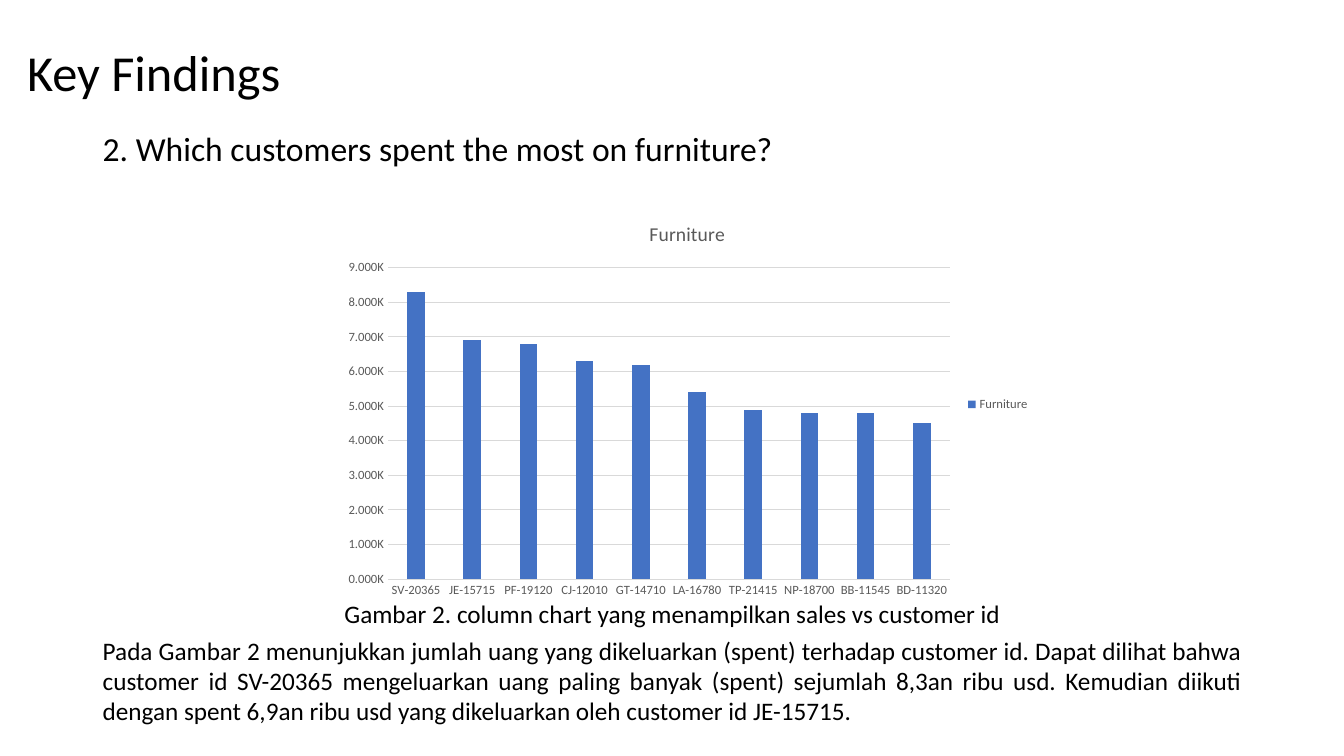
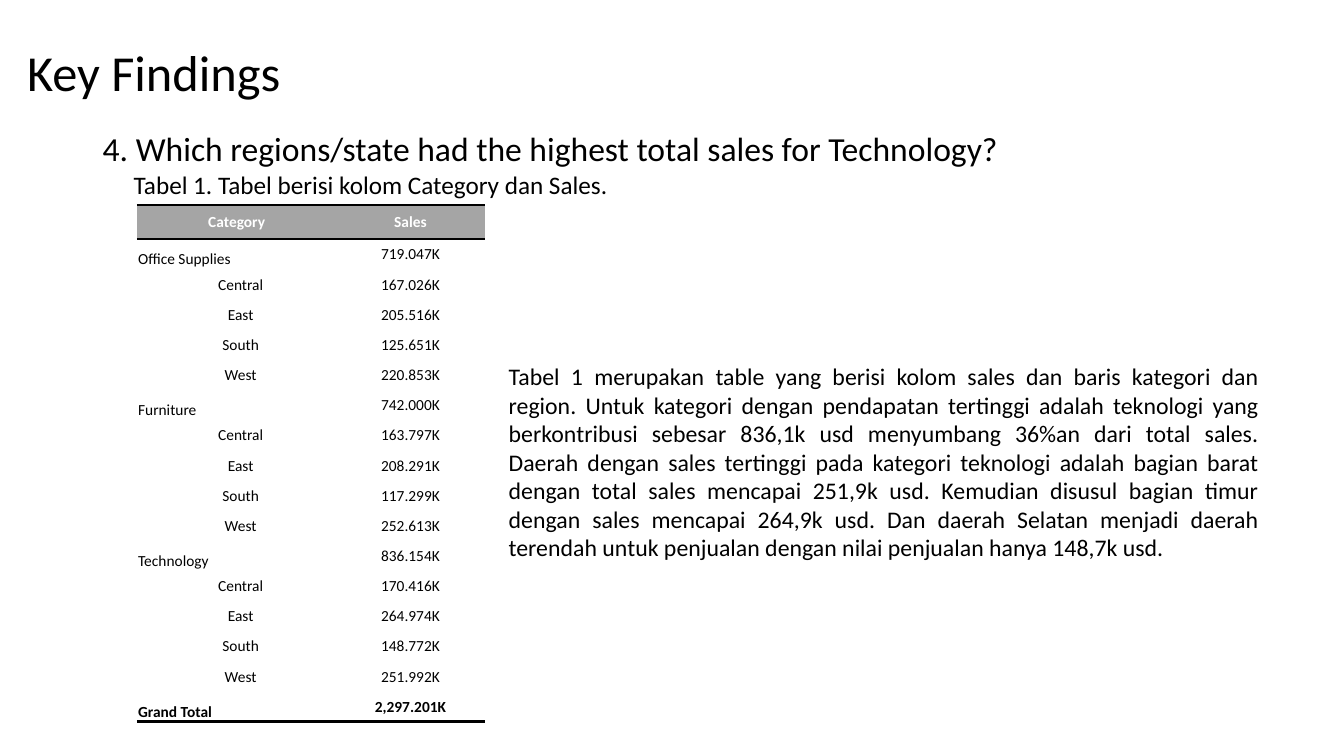
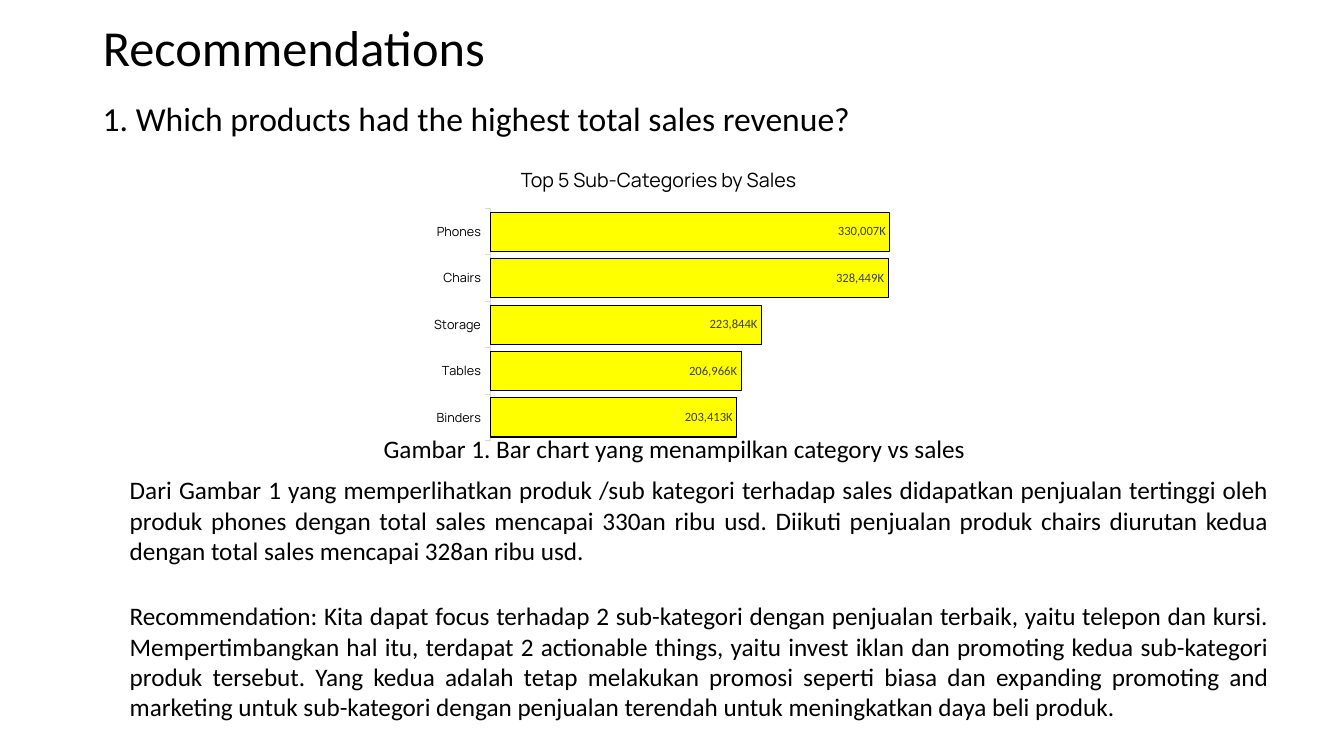
import pptx
import pptx.chart.data
import pptx.dml.color
import pptx.enum.chart
import pptx.enum.shapes
import pptx.enum.text
import pptx.oxml
import pptx.oxml.ns
import pptx.util
from pptx.util import Cm

# Shared styles
COLORS = {"black": "000000", "white": "FFFFFF", "header": "A5A5A5", "axis": "595959",
          "grid": "D9D9D9", "blue": "4472C4", "yellow": "FFFF00", "label": "404040"}
ALIGN = pptx.enum.text.PP_ALIGN
ANCHOR = pptx.enum.text.MSO_ANCHOR
TYPE = pptx.enum.chart.XL_CHART_TYPE
TICK = pptx.enum.chart.XL_TICK_MARK
PLAIN_TABLE = "{2D5ABB26-0587-4C30-8999-92F81FD0307C}"
TITLE = {"size": 36}
QUESTION = {"size": 24}
BODY = {"size": 18, "align": ALIGN.JUSTIFY}
CAPTION = {"size": 18, "align": ALIGN.CENTER}
TITLE_SIZE = (29.21, 2.41)
QUESTION_SIZE = (30.58, 1.27)

# Slide 2 table: first column, second column
REGIONS = ["Central", "East", "South", "West"]
SALES = {
    "Office Supplies": ["719.047K", "167.026K", "205.516K", "125.651K", "220.853K"],
    "Furniture": ["742.000K", "163.797K", "208.291K", "117.299K", "252.613K"],
    "Technology": ["836.154K", "170.416K", "264.974K", "148.772K", "251.992K"],
}


def rgb(name):
    return pptx.dml.color.RGBColor.from_string(COLORS[name])


def format_font(font, size, color="black", name="Calibri", bold=False):
    values = {"size": pptx.util.Pt(size), "name": name, "bold": bold}
    for key, value in values.items():
        setattr(font, key, value)
    font.color.rgb = rgb(color)


def write(tf, text, align=ALIGN.LEFT, spacing=None, **font):
    p = tf.paragraphs[0]
    p.alignment = align
    p.line_spacing = spacing
    r = p.add_run()
    r.text = text
    format_font(r.font, **font)


def set_line(line, color):
    line.color.rgb = rgb(color)
    line.width = pptx.util.Pt(0.75)


def add_slide(prs, title, left, top):
    s = prs.slides.add_slide(prs.slide_layouts[5])
    sp = s.shapes.title
    box = (left, top) + TITLE_SIZE
    for key, value in zip(("left", "top", "width", "height"), box):
        setattr(sp, key, Cm(value))
    sp.text_frame.vertical_anchor = ANCHOR.MIDDLE
    write(sp.text_frame, title, spacing=0.9, **TITLE)
    return s


def add_text(s, box, text, style):
    tf = s.shapes.add_textbox(*map(Cm, box)).text_frame
    tf.word_wrap = True
    tf.auto_size = pptx.enum.text.MSO_AUTO_SIZE.SHAPE_TO_FIT_TEXT
    write(tf, text, **style)


def add_question(s, top, text):
    add_text(s, (2.34, top) + QUESTION_SIZE, text, QUESTION)


# Charts
def add_chart(s, box, kind, name, cats, vals, gap, color):
    data = pptx.chart.data.CategoryChartData()
    data.categories = cats
    data.add_series(name, vals)
    chart = s.shapes.add_chart(kind, *map(Cm, box), data).chart
    format_font(chart.font, 10)
    chart.has_title = False
    chart.has_legend = False
    plot = chart.plots[0]
    plot.gap_width = gap
    plot.vary_by_categories = False
    fill = plot.series[0].format.fill
    fill.solid()
    fill.fore_color.rgb = rgb(color)
    set_line(chart.category_axis.format.line, "grid")
    chart.value_axis.minimum_scale = 0
    return chart


def add_column_chart(s, box, name, cats, vals):
    chart = add_chart(s, box, TYPE.COLUMN_CLUSTERED, name, cats, vals, 219, "blue")
    chart.plots[0].overlap = -27
    chart.has_title = True
    write(chart.chart_title.text_frame, name, ALIGN.CENTER, size=14, color="axis")
    chart.has_legend = True
    chart.legend.position = pptx.enum.chart.XL_LEGEND_POSITION.RIGHT
    chart.legend.include_in_layout = False
    format_font(chart.legend.font, 9, "axis")
    for axis in (chart.category_axis, chart.value_axis):
        axis.major_tick_mark = TICK.NONE
        format_font(axis.tick_labels.font, 9, "axis")
    axis = chart.value_axis
    axis.maximum_scale = 9000
    axis.major_unit = 1000
    axis.format.line.fill.background()
    set_line(axis.major_gridlines.format.line, "grid")
    axis.tick_labels.number_format = '#,##0.000,"K"'
    axis.tick_labels.number_format_is_linked = False


def add_bar_chart(s, box, name, cats, vals):
    chart = add_chart(s, box, TYPE.BAR_CLUSTERED, name, cats, vals, 19, "yellow")
    format_font(chart.category_axis.tick_labels.font, 9, name="Manrope")
    chart.category_axis.major_tick_mark = TICK.OUTSIDE
    chart.value_axis.visible = False
    chart.value_axis.has_major_gridlines = False
    chart.value_axis.maximum_scale = 350000
    series = chart.plots[0].series[0]
    set_line(series.format.line, "black")
    labels = series.data_labels
    labels.show_value = True
    labels.position = pptx.enum.chart.XL_LABEL_POSITION.INSIDE_END
    labels.number_format = '#0,000"K"'
    labels.number_format_is_linked = False
    format_font(labels.font, 9, "label")


def add_chart_heading(s, box, text):
    kind = pptx.enum.shapes.MSO_SHAPE.ROUNDED_RECTANGLE
    sp = s.shapes.add_shape(kind, *map(Cm, box))
    sp.shadow.inherit = False
    sp.fill.solid()
    sp.fill.fore_color.rgb = rgb("white")
    sp.line.fill.background()
    sp.text_frame.vertical_anchor = ANCHOR.MIDDLE
    write(sp.text_frame, text, ALIGN.CENTER, size=14, name="Manrope")


# Table
def add_border(cell, side):
    ns = pptx.oxml.ns.nsdecls("a")
    line = pptx.oxml.parse_xml(
        f'<a:ln{side} {ns} w="25400"><a:solidFill><a:srgbClr val="{COLORS["black"]}"/>'
        f'</a:solidFill></a:ln{side}>')
    pr = cell._tc.get_or_add_tcPr()
    pr.insert(len(pr.findall(pptx.oxml.ns.qn("a:lnT"))), line)


def fill_cell(cell, text, fill="white", indent=0.03, anchor=ANCHOR.MIDDLE,
              align=ALIGN.CENTER, borders="", **font):
    values = {"margin_left": Cm(indent), "margin_top": Cm(0.03),
              "margin_right": Cm(0.03), "margin_bottom": 0, "vertical_anchor": anchor}
    for key, value in values.items():
        setattr(cell, key, value)
    cell.fill.solid()
    cell.fill.fore_color.rgb = rgb(fill)
    write(cell.text_frame, text, align, size=11, **font)
    for side in borders:
        add_border(cell, side)


def add_sales_table(s, left, top):
    widths, header_height, row_height = (5.03, 3.73), 0.86, 0.76
    header = {"fill": "header", "color": "white", "bold": True, "borders": "TB"}
    group = {"anchor": ANCHOR.BOTTOM, "align": ALIGN.LEFT}
    total = {"bold": True, "borders": "B"}

    # Each row: label, amount, label style, amount style
    rows = [("Category", "Sales", header, header)]
    for category, amounts in SALES.items():
        rows.append((category, amounts[0], group, {}))
        rows += [(region, amount, {"indent": 0.23}, {})
                 for region, amount in zip(REGIONS, amounts[1:])]
    rows.append(("Grand Total", "2,297.201K", {**group, **total}, total))

    height = header_height + row_height * (len(rows) - 1)
    frame = s.shapes.add_table(len(rows), 2, Cm(left), Cm(top), Cm(sum(widths)), Cm(height))
    table = frame.table
    table.horz_banding = False
    table._tbl.tblPr.find(pptx.oxml.ns.qn("a:tableStyleId")).text = PLAIN_TABLE
    for column, width in zip(table.columns, widths):
        column.width = Cm(width)
    for i, (label, amount, label_style, amount_style) in enumerate(rows):
        table.rows[i].height = Cm(row_height if i else header_height)
        fill_cell(table.cell(i, 0), label, **label_style)
        fill_cell(table.cell(i, 1), amount, **amount_style)


# Slides
def build_customers(prs):
    s = add_slide(prs, "Key Findings", 0.43, 0.69)
    add_column_chart(
        s, (8.43, 5.11, 17.78, 10.16), "Furniture",
        ["SV-20365", "JE-15715", "PF-19120", "CJ-12010", "GT-14710",
         "LA-16780", "TP-21415", "NP-18700", "BB-11545", "BD-11320"],
        [8300, 6900, 6800, 6300, 6200, 5400, 4900, 4800, 4800, 4500])
    add_text(s, (2.34, 15.88, 29.21, 2.57),
             "Pada Gambar 2 menunjukkan jumlah uang yang dikeluarkan (spent) terhadap customer id. "
             "Dapat dilihat bahwa customer id SV-20365 mengeluarkan uang paling banyak (spent) "
             "sejumlah 8,3an ribu usd. Kemudian diikuti dengan spent 6,9an ribu usd yang "
             "dikeluarkan oleh customer id JE-15715.", BODY)
    add_question(s, 3.1, "2. Which customers spent the most on furniture?")
    add_text(s, (2.34, 14.94, 29.21, 1.02),
             "Gambar 2. column chart yang menampilkan sales vs customer id", CAPTION)


def build_regions(prs):
    s = add_slide(prs, "Key Findings", 0.43, 0.69)
    add_text(s, (12.57, 8.99, 19.41, 5.33),
             "Tabel 1 merupakan table yang berisi kolom sales dan baris kategori dan region. "
             "Untuk kategori dengan pendapatan tertinggi adalah teknologi yang berkontribusi "
             "sebesar 836,1k usd menyumbang 36%an dari total sales. Daerah dengan sales tertinggi "
             "pada kategori teknologi adalah bagian barat dengan total sales mencapai 251,9k usd. "
             "Kemudian disusul bagian timur dengan sales mencapai 264,9k usd. Dan daerah Selatan "
             "menjadi daerah terendah untuk penjualan dengan nilai penjualan hanya 148,7k usd.",
             {**BODY, "size": 17})
    add_question(s, 3.1, "4. Which regions/state had the highest total sales for Technology?")
    add_text(s, (3.12, 4.14, 13.11, 1.02), "Tabel 1. Tabel berisi kolom Category dan Sales.",
             {**CAPTION, "align": ALIGN.LEFT})
    add_sales_table(s, 3.45, 5.16)


def build_recommendations(prs):
    s = add_slide(prs, "Recommendations", 2.34, 0.05)
    add_chart_heading(s, (11.28, 4.01, 10.64, 1.04), "Top 5 Sub-Categories by Sales")
    add_bar_chart(s, (10.69, 5.13, 12.6, 6.1), "Series 1",
                  ["Binders", "Tables", "Storage", "Chairs", "Phones"],
                  [203413, 206966, 223844, 328449, 330007])
    add_text(s, (3.02, 11.84, 29.21, 2.57),
             "Dari Gambar 1 yang memperlihatkan produk /sub kategori terhadap sales didapatkan "
             "penjualan tertinggi oleh produk phones dengan total sales mencapai 330an ribu usd. "
             "Diikuti penjualan produk chairs diurutan kedua dengan total sales mencapai 328an "
             "ribu usd.", BODY)
    add_question(s, 2.34, "1. Which products had the highest total sales revenue?")
    add_text(s, (2.39, 10.8, 29.21, 1.02),
             "Gambar 1. Bar chart yang menampilkan category vs sales", CAPTION)
    add_text(s, (3.02, 15.01, 29.21, 3.33),
             "Recommendation: Kita dapat focus terhadap 2 sub-kategori dengan penjualan terbaik, "
             "yaitu telepon dan kursi. Mempertimbangkan hal itu, terdapat 2 actionable things, "
             "yaitu invest iklan dan promoting kedua sub-kategori produk tersebut. Yang kedua "
             "adalah tetap melakukan promosi seperti biasa dan expanding promoting and marketing "
             "untuk sub-kategori dengan penjualan terendah untuk meningkatkan daya beli produk.",
             BODY)


def main():
    prs = pptx.Presentation()
    prs.slide_width = Cm(33.87)
    prs.slide_height = Cm(19.05)
    build_customers(prs)
    build_regions(prs)
    build_recommendations(prs)
    prs.save("out.pptx")


main()
